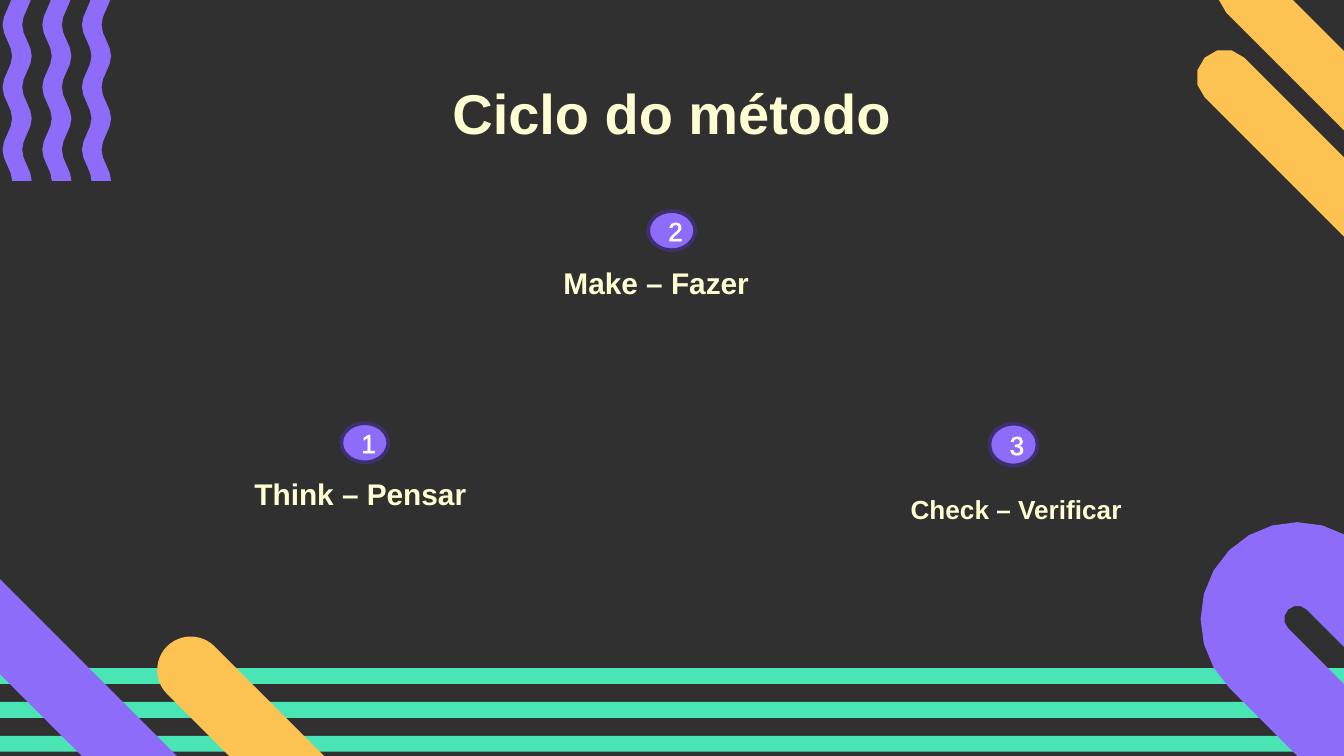
import math
from dataclasses import dataclass

import lxml.etree
import pptx
import pptx.dml.color
import pptx.enum.shapes
import pptx.enum.text
import pptx.oxml.ns
import pptx.util

Cm = pptx.util.Cm
Pt = pptx.util.Pt
PRESET = pptx.enum.shapes.MSO_SHAPE
ANCHOR = pptx.enum.text.MSO_ANCHOR
ALIGN = pptx.enum.text.PP_ALIGN

FONT = "Arial"
DARK, CREAM, WHITE = "303030", "FFFED2", "FFFFFF"
GREEN, PURPLE, YELLOW, PLUM = "49E5B5", "8D6CFA", "FCC353", "3E2F6E"

Point = tuple[float, float]
Box = tuple[float, float, float, float]  # left, top, width, height in cm


@dataclass
class Step:
    number: str
    badge: Box
    label: str
    label_box: Box
    inset: Point  # left, top in cm
    size: int


@dataclass
class Hairpin:
    bend: Point
    middle: float  # radius of the bend's centre line
    half: float  # half the band's width
    heading: int  # degrees, clockwise from the right
    arms: Point
    color: str


STEPS = [
    Step("2", (12.25, 3.99, 0.89, 0.74), "Make – Fazer", (10.39, 4.88, 11.2, 0.94), (0.26, 0.13), 16),
    Step("1", (6.45, 8.0, 0.89, 0.74), "Think – Pensar", (3.96, 8.86, 8.08, 1.78), (0.85, 0.13), 16),
    Step("3", (18.7, 8.01, 0.91, 0.79), "Check – Verificar", (15.44, 7.87, 9.65, 2.97), (1.77, 1.46), 14),
]
HAIRPINS = [
    Hairpin((27.66, 4.98), 0.71, 0.53, 225, (6.52, 5.68), YELLOW),
    Hairpin((24.52, 11.7), 1.04, 0.79, 45, (9.64, 8.41), PURPLE),
]
BARS = [((-0.1, 8.38, 1.27, 8.0), PURPLE), ((3.94, 11.63, 1.27, 4.01), YELLOW)]


def rgb(color: str) -> pptx.dml.color.RGBColor:
    return pptx.dml.color.RGBColor.from_string(color)


def paint(shape, color: str) -> None:
    shape.shadow.inherit = False
    shape.fill.solid()
    shape.fill.fore_color.rgb = rgb(color)
    shape.line.fill.background()


def add_preset(slide, preset, box: Box, color: str):
    shape = slide.shapes.add_shape(preset, *map(Cm, box))
    paint(shape, color)
    return shape


def add_outline(slide, points: list[Point], color: str) -> None:
    start, *rest = [(Cm(x), Cm(y)) for x, y in points]
    builder = slide.shapes.build_freeform(*start)
    builder.add_line_segments(rest, close=True)
    paint(builder.convert_to_shape(), color)


def write(paragraph, text: str, size: int, color: str, bold: bool) -> None:
    paragraph.text = text
    font = paragraph.font
    font.name, font.size, font.bold = FONT, Pt(size), bold
    font.color.rgb = rgb(color)


def outline_text(run, color: str, width: float) -> None:
    qn = pptx.oxml.ns.qn
    line = lxml.etree.Element(qn("a:ln"), w=str(Pt(width)))
    fill = lxml.etree.SubElement(line, qn("a:solidFill"))
    lxml.etree.SubElement(fill, qn("a:srgbClr"), val=color)
    run._r.get_or_add_rPr().insert(0, line)


def polar(center: Point, radius: float, degrees: float) -> Point:
    angle = math.radians(degrees)
    return center[0] + radius * math.cos(angle), center[1] + radius * math.sin(angle)


def arc(center: Point, radius: float, start: int, end: int) -> list[Point]:
    count = 12 if radius > 1 else 6
    return [polar(center, radius, start + (end - start) * i / count) for i in range(count + 1)]


def add_hairpin(slide, pin: Hairpin) -> None:
    near, far, full = pin.heading + 90, pin.heading + 270, pin.heading + 450
    near_tip, far_tip = [
        polar(polar(pin.bend, length, pin.heading), pin.middle, side)
        for length, side in zip(pin.arms, (near, far))
    ]
    outline = arc(pin.bend, pin.middle + pin.half, near, far)
    outline += arc(far_tip, pin.half, far, full)
    outline += arc(pin.bend, pin.middle - pin.half, far, near)
    outline += arc(near_tip, pin.half, far, full)
    add_outline(slide, outline, pin.color)


def add_wave(slide, center: float) -> None:
    top, period, periods, swing, thickness = -0.12, 1.18, 3, 0.09, 0.37
    samples = 8
    edge = [
        (center + swing * math.cos(2 * math.pi * i / samples), top + period * i / samples)
        for i in range(periods * samples + 1)
    ]
    add_outline(slide, edge + [(x + thickness, y) for x, y in reversed(edge)], PURPLE)


def add_step(slide, step: Step) -> None:
    badge = add_preset(slide, PRESET.OVAL, step.badge, PURPLE)
    badge.line.color.rgb = rgb(PLUM)
    badge.line.width = Pt(2)
    badge.text_frame.vertical_anchor = ANCHOR.MIDDLE
    number = badge.text_frame.paragraphs[0]
    number.alignment = ALIGN.CENTER
    write(number, step.number, 14, WHITE, False)
    outline_text(number.runs[0], WHITE, 0.75)

    label = slide.shapes.add_textbox(*map(Cm, step.label_box)).text_frame
    label.word_wrap = True
    label.margin_left, label.margin_top = map(Cm, step.inset)
    write(label.paragraphs[0], step.label, step.size, CREAM, True)


def main() -> None:
    deck = pptx.Presentation()
    deck.slide_width, deck.slide_height = Cm(25.4), Cm(14.29)
    slide = deck.slides.add_slide(deck.slide_layouts[5])
    slide.background.fill.solid()
    slide.background.fill.fore_color.rgb = rgb(DARK)

    # Green stripes and purple waves
    for row in range(3):
        add_preset(slide, PRESET.RECTANGLE, (-0.37, 12.63 + 0.64 * row, 26.14, 0.3), GREEN)
    for column in range(3):
        add_wave(slide, 0.14 + 0.75 * column)

    # Diagonal bands in the corners
    for pin in HAIRPINS:
        add_hairpin(slide, pin)
    for box, color in BARS:
        bar = add_preset(slide, PRESET.ROUND_2_SAME_RECTANGLE, box, color)
        bar.adjustments[0] = 0.5
        bar.rotation = -45

    # Title
    title = slide.shapes.title
    title.left, title.top, title.width, title.height = map(Cm, (1.99, 1.24, 21.41, 1.6))
    heading = title.text_frame
    heading.vertical_anchor = ANCHOR.TOP
    heading.margin_top = Cm(0.24)
    heading.paragraphs[0].alignment = ALIGN.CENTER
    write(heading.paragraphs[0], "Ciclo do método", 30, CREAM, True)

    # Steps of the cycle
    for step in STEPS:
        add_step(slide, step)

    deck.save("out.pptx")


if __name__ == "__main__":
    main()
